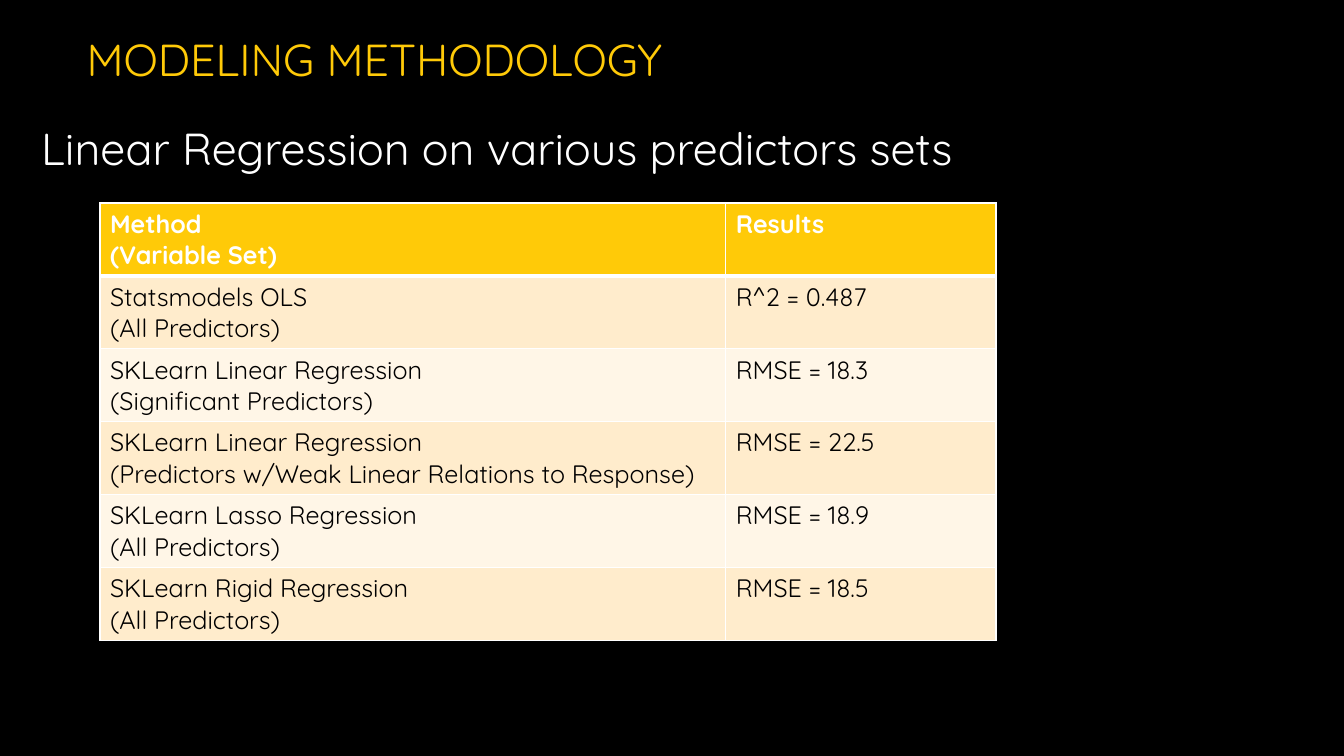
from lxml.etree import SubElement
from pptx import Presentation
from pptx.dml.color import RGBColor
from pptx.enum.text import MSO_ANCHOR as Anchor, PP_ALIGN as Align
from pptx.oxml.ns import qn
from pptx.util import Pt

FONT = "Quicksand"
COLORS = {
    "background": "000000",
    "gold": "FFCA08",
    "white": "FFFFFF",
    "black": "000000",
    "odd_row": "FFECCC",
    "even_row": "FFF6E7",
}
HEADER = ("Method", "(Variable Set)", "Results")
RESULTS = [
    ("Statsmodels OLS", "(All Predictors)", "R^2 = 0.487"),
    ("SKLearn Linear Regression", "(Significant Predictors)", "RMSE = 18.3"),
    ("SKLearn Linear Regression",
     "(Predictors w/Weak Linear Relations to Response)", "RMSE = 22.5"),
    ("SKLearn Lasso Regression", "(All Predictors)", "RMSE = 18.9"),
    ("SKLearn Rigid Regression", "(All Predictors)", "RMSE = 18.5"),
]


def color(name):
    """Return the named colour."""
    return RGBColor.from_string(COLORS[name])


def write_lines(frame, lines, size, tint, bold=False):
    """Write each line as a paragraph of one run."""
    for index, line in enumerate(lines):
        para = frame.add_paragraph() if index else frame.paragraphs[0]
        run = para.add_run()
        run.text = line
        run.font.name = FONT
        run.font.size = Pt(size)
        run.font.bold = bold
        run.font.color.rgb = color(tint)


def add_heading(page, box, text, tint, anchor):
    """Place a one-line heading in the given box."""
    frame = page.shapes.add_textbox(*map(Pt, box)).text_frame
    frame.word_wrap = True
    frame.vertical_anchor = anchor
    write_lines(frame, [text], 32, tint)


def set_borders(cell, top, bottom):
    """Give a cell white borders with the given top and bottom widths."""
    properties = cell._tc.get_or_add_tcPr()
    widths = {"a:lnL": 1, "a:lnR": 1, "a:lnT": top, "a:lnB": bottom}
    for index, (tag, width) in enumerate(widths.items()):
        line = SubElement(properties, qn(tag), w=str(Pt(width)))
        fill = SubElement(line, qn("a:solidFill"))
        SubElement(fill, qn("a:srgbClr"), val=COLORS["white"])
        properties.insert(index, line)


def add_results_table(page, box):
    """Place the table of methods and results in the given box."""
    left, top, width, height = box
    rows = [HEADER, *RESULTS]
    table = page.shapes.add_table(len(rows), 2, *map(Pt, box)).table
    method_width = 447
    table.columns[0].width = Pt(method_width)
    table.columns[1].width = Pt(width - method_width)
    for index, (method, variables, result) in enumerate(rows):
        table.rows[index].height = Pt(height / len(rows))
        is_header = index == 0
        band = "gold" if is_header else "odd_row" if index % 2 else "even_row"
        for column, lines in enumerate([(method, variables), (result,)]):
            cell = table.cell(index, column)
            cell.fill.solid()
            cell.fill.fore_color.rgb = color(band)
            write_lines(cell.text_frame, lines, 18,
                        "white" if is_header else "black", is_header)
            set_borders(cell, 3 if index == 1 else 1, 3 if is_header else 1)
    table.cell(0, 1).text_frame.paragraphs[0].alignment = Align.JUSTIFY


def build_methodology_slide(deck):
    """Add the modeling methodology slide."""
    page = deck.slides.add_slide(deck.slide_layouts[6])
    page.background.fill.solid()
    page.background.fill.fore_color.rgb = color("background")
    add_heading(page, (54.7, -33, 780, 150), "MODELING METHODOLOGY",
                "gold", Anchor.MIDDLE)
    add_heading(page, (22.3, 82.8, 738, 46),
                "Linear Regression on various predictors sets",
                "white", Anchor.TOP)
    add_results_table(page, (71.4, 145, 640, 312.6))


def main():
    """Build and save the deck."""
    deck = Presentation()
    deck.slide_width, deck.slide_height = Pt(960), Pt(540)
    build_methodology_slide(deck)
    deck.save("out.pptx")


if __name__ == "__main__":
    main()
